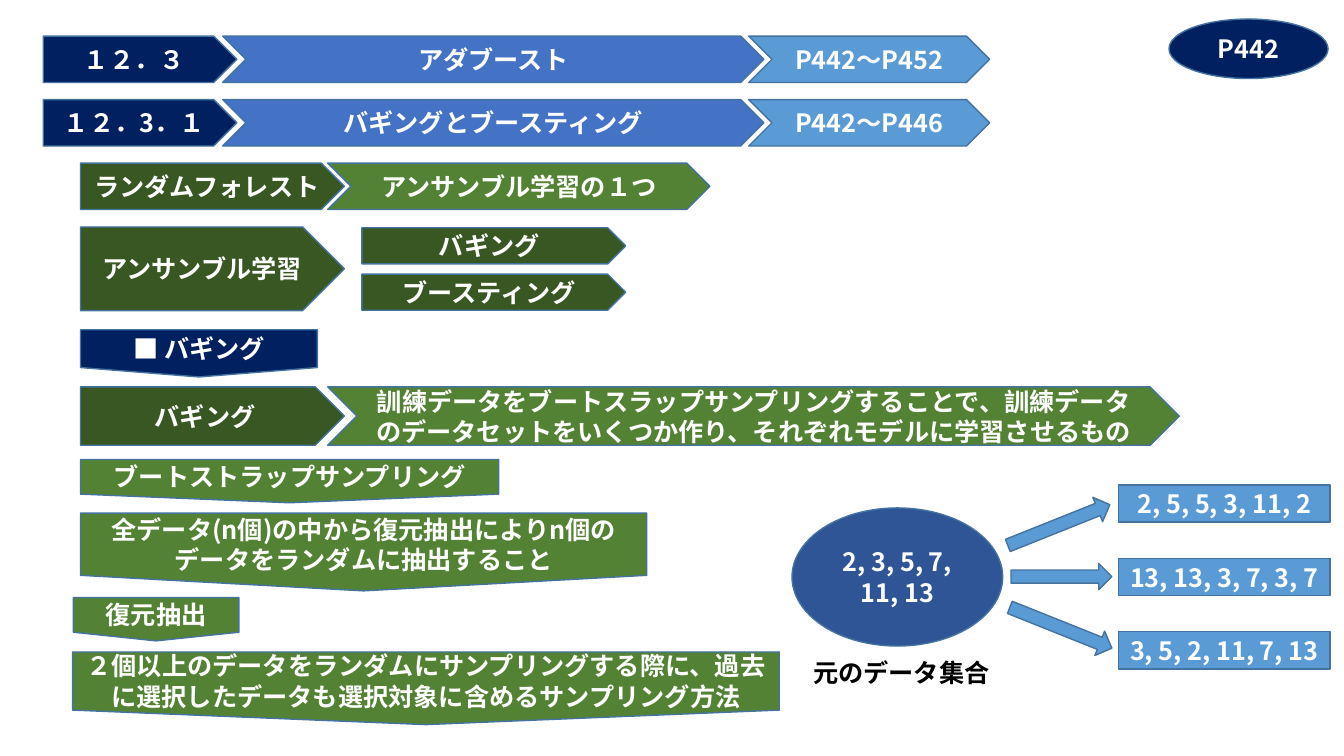
from lxml import etree
from pptx import Presentation
from pptx.dml.color import RGBColor
from pptx.enum.shapes import MSO_SHAPE
from pptx.enum.text import MSO_ANCHOR, MSO_AUTO_SIZE, PP_ALIGN
from pptx.oxml.ns import qn
from pptx.util import Cm, Pt

NAVY = RGBColor(0x00, 0x20, 0x60)
BLUE = RGBColor(0x44, 0x72, 0xC4)
DEEP_BLUE = RGBColor(0x2F, 0x55, 0x97)
LIGHT_BLUE = RGBColor(0x5B, 0x9B, 0xD5)
DARK_GREEN = RGBColor(0x38, 0x57, 0x23)
GREEN = RGBColor(0x54, 0x82, 0x35)
OUTLINE = RGBColor(0x43, 0x73, 0x9E)
WHITE = RGBColor(0xFF, 0xFF, 0xFF)
BLACK = RGBColor(0x00, 0x00, 0x00)

PENTAGON = MSO_SHAPE.PENTAGON
CHEVRON = MSO_SHAPE.CHEVRON
BANNER = MSO_SHAPE.FLOWCHART_OFFPAGE_CONNECTOR
OVAL = MSO_SHAPE.OVAL
RECT = MSO_SHAPE.RECTANGLE
ARROW = MSO_SHAPE.RIGHT_ARROW
CENTER = PP_ALIGN.CENTER
LEFT = PP_ALIGN.LEFT
MIDDLE = MSO_ANCHOR.MIDDLE
TOP = MSO_ANCHOR.TOP
NO_AUTOFIT = MSO_AUTO_SIZE.NONE


class SlideBuilder:
    font = "Noto Sans CJK JP"
    size = Pt(18)

    def __init__(self, s):
        self.s = s

    def set_text(self, sp, text, color=WHITE, align=CENTER, anchor=MIDDLE):
        tf = sp.text_frame
        tf.word_wrap = True
        tf.vertical_anchor = anchor
        tf.text = text
        p = tf.paragraphs[0]
        p.alignment = align
        for r in p.runs:
            r.font.name = self.font
            r.font.size = self.size
            r.font.bold = True
            r.font.color.rgb = color
            ea = etree.SubElement(r.font._element, qn("a:ea"))
            ea.set("typeface", self.font)

    def shape(self, kind, box, fill, text="", rotation=0):
        sp = self.s.shapes.add_shape(kind, *map(Cm, box))
        sp.shadow.inherit = False
        sp.fill.solid()
        sp.fill.fore_color.rgb = fill
        sp.line.color.rgb = OUTLINE
        sp.line.width = Pt(1)
        sp.rotation = rotation
        if text:
            self.set_text(sp, text)

    def title(self, text, box):
        sp = self.s.shapes.title
        sp.left, sp.top, sp.width, sp.height = map(Cm, box)
        self.set_text(sp, text)
        sp.text_frame.auto_size = NO_AUTOFIT
        self.s.shapes._spTree.append(sp._element)

    def label(self, text, box):
        sp = self.s.shapes.add_textbox(*map(Cm, box))
        self.set_text(sp, text, BLACK, LEFT, TOP)


def main():
    prs = Presentation()
    prs.slide_width, prs.slide_height = Cm(33.87), Cm(19.05)
    b = SlideBuilder(prs.slides.add_slide(prs.slide_layouts[5]))

    b.shape(OVAL, (29.46, 0.48, 4.01, 1.5), NAVY, "P442")

    top, pitch, height = 0.91, 1.6, 1.17
    headings = [
        ("１２．３", "", "P442～P452"),
        ("１２．3．１", "バギングとブースティング", "P442～P446"),
    ]
    for i, (number, name, pages) in enumerate(headings):
        y = top + i * pitch
        b.shape(PENTAGON, (1.09, y, 4.88, height), NAVY, number)
        b.shape(CHEVRON, (5.61, y, 13.64, height), BLUE, name)
        b.shape(CHEVRON, (18.87, y, 6.07, height), LIGHT_BLUE, pages)
    b.title("アダブースト", (5.61, top, 13.64, height))

    left, term_width = 2.03, 6.65
    definitions = [
        (4.11, 1.17, 9.63, "ランダムフォレスト", "アンサンブル学習の１つ"),
        (9.75, 1.47, 21.46, "バギング",
         "訓練データをブートスラップサンプリングすることで、訓練データ"
         "のデータセットをいくつか作り、それぞれモデルに学習させるもの"),
    ]
    for y, h, w, term, meaning in definitions:
        b.shape(PENTAGON, (left, y, term_width, h), DARK_GREEN, term)
        b.shape(CHEVRON, (8.26, y, w, h), GREEN, meaning)

    b.shape(PENTAGON, (left, 5.72, term_width, 2.11), DARK_GREEN, "アンサンブル学習")
    for i, method in enumerate(("バギング", "ブースティング")):
        b.shape(PENTAGON, (9.12, 5.74 + i * 1.17, term_width, 0.91), DARK_GREEN, method)

    banners = [
        ((left, 8.31, 5.97, 1.19), NAVY, "■ バギング"),
        ((left, 11.58, 10.54, 1.09), GREEN, "ブートストラップサンプリング"),
        ((left, 12.93, 14.27, 1.96), GREEN,
         "全データ(n個)の中から復元抽出によりn個のデータをランダムに抽出すること"),
        ((1.85, 15.06, 4.17, 1.09), GREEN, "復元抽出"),
        ((1.83, 16.43, 17.81, 1.83), GREEN,
         "２個以上のデータをランダムにサンプリングする際に、過去"
         "に選択したデータも選択対象に含めるサンプリング方法"),
    ]
    for box, fill, text in banners:
        b.shape(BANNER, box, fill, text)

    b.shape(OVAL, (19.96, 12.8, 5.31, 3.48), DEEP_BLUE, "2, 3, 5, 7, 11, 13")
    b.label("元のデータ集合", (20.24, 16.43, 5.51, 1.02))
    samples = [
        ("2, 5, 5, 3, 11, 2", (25.3, 12.9, 2.77, 0.66), -21.8),
        ("13, 13, 3, 7, 3, 7", (25.48, 14.2, 2.54, 0.66), 0),
        ("3, 5, 2, 11, 7, 13", (25.35, 15.49, 2.77, 0.66), 21.8),
    ]
    for i, (values, arrow, angle) in enumerate(samples):
        b.shape(RECT, (28.19, 12.22 + i * 1.85, 5.33, 0.94), LIGHT_BLUE, values)
        b.shape(ARROW, arrow, LIGHT_BLUE, rotation=angle)

    prs.save("out.pptx")


if __name__ == "__main__":
    main()
